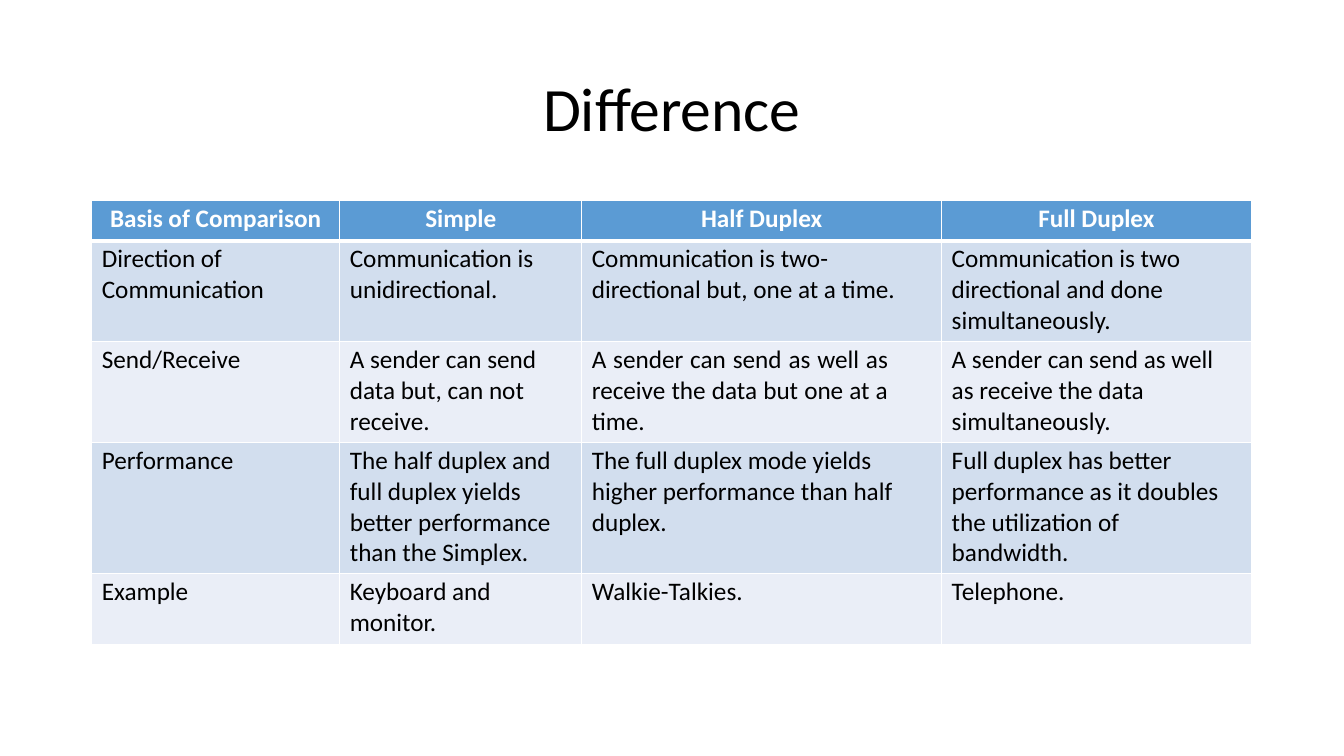
import pptx
import pptx.dml.color
import pptx.enum.text
import pptx.oxml
import pptx.oxml.ns
import pptx.util

Inches = pptx.util.Inches
Pt = pptx.util.Pt
RGBColor = pptx.dml.color.RGBColor
ALIGN = pptx.enum.text.PP_ALIGN

BLACK = RGBColor(0x00, 0x00, 0x00)
WHITE = RGBColor(0xFF, 0xFF, 0xFF)
HEADER_BLUE = RGBColor(0x5B, 0x9B, 0xD4)
BAND_COLORS = [RGBColor(0xD2, 0xDE, 0xEE), RGBColor(0xEA, 0xEE, 0xF7)]

TITLE_FONT = {"name": "Calibri", "size": Pt(44), "bold": False}
HEADER_FONT = {"name": "Calibri", "size": Pt(18), "bold": True}
BODY_FONT = {"name": "Calibri", "size": Pt(18), "bold": False}

COLUMN_WIDTHS = [2.46, 2.4, 3.57, 3.07]
ROW_HEIGHTS = [0.4, 1, 1, 1.3, 0.7]
RIGHT_MARGINS = [0.1, 0.2, 0.4, 0.3]
JUSTIFIED_CELL = (2, 2)
JUSTIFIED_MARGIN = 0.53

COMPARISON = [
    ["Basis of Comparison", "Simple", "Half Duplex", "Full Duplex"],
    [
        "Direction of Communication",
        "Communication is unidirectional.",
        "Communication is two-directional but, one at a time.",
        "Communication is two directional and done simultaneously.",
    ],
    [
        "Send/Receive",
        "A sender can send data but, can not receive.",
        "A sender can send as well as receive the data but one at a time.",
        "A sender can send as well as receive the data simultaneously.",
    ],
    [
        "Performance",
        "The half duplex and full duplex yields better performance than the Simplex.",
        "The full duplex mode yields higher performance than half duplex.",
        "Full duplex has better performance as it doubles the utilization of bandwidth.",
    ],
    ["Example", "Keyboard and monitor.", "Walkie-Talkies.", "Telephone."],
]


def set_values(target, values):
    for name, value in values.items():
        setattr(target, name, value)


def write_text(para, text, font, color, alignment):
    span = para.add_run()
    span.text = text
    set_values(span.font, font)
    span.font.color.rgb = color
    para.alignment = alignment


def set_borders(cell, widths):
    properties = cell._tc.get_or_add_tcPr()
    for side, width in widths.items():
        properties.append(pptx.oxml.parse_xml(
            f'<a:ln{side} {pptx.oxml.ns.nsdecls("a")} w="{Pt(width)}">'
            f'<a:solidFill><a:srgbClr val="{WHITE}"/></a:solidFill></a:ln{side}>'
        ))


def add_title(page, left, top, width, height):
    box = page.shapes.add_textbox(
        Inches(left), Inches(top), Inches(width), Inches(height))
    set_values(box.text_frame, {
        "word_wrap": True,
        "margin_left": 0,
        "margin_top": Inches(0.02),
        "margin_right": 0,
        "margin_bottom": 0,
    })
    write_text(box.text_frame.paragraphs[0], "Difference", TITLE_FONT, BLACK, ALIGN.CENTER)


def fill_cell(cell, text, row, column):
    header = row == 0
    justified = (row, column) == JUSTIFIED_CELL
    right = JUSTIFIED_MARGIN if justified else RIGHT_MARGINS[column]
    set_values(cell, {
        "margin_left": Inches(0 if header else 0.1),
        "margin_top": Inches(0.03),
        "margin_right": Inches(0 if header else right),
        "margin_bottom": 0,
    })
    set_borders(cell, {"L": 1, "R": 1, "T": 3 if row == 1 else 1, "B": 3 if header else 1})
    cell.fill.solid()
    cell.fill.fore_color.rgb = HEADER_BLUE if header else BAND_COLORS[(row - 1) % 2]
    para = cell.text_frame.paragraphs[0]
    if header:
        write_text(para, text, HEADER_FONT, WHITE, ALIGN.CENTER)
    else:
        alignment = ALIGN.JUSTIFY if justified else ALIGN.LEFT
        write_text(para, text, BODY_FONT, BLACK, alignment)


def add_comparison(page, left, top, width, height):
    table = page.shapes.add_table(
        len(ROW_HEIGHTS), len(COLUMN_WIDTHS),
        Inches(left), Inches(top), Inches(width), Inches(height)).table
    for column, column_width in zip(table.columns, COLUMN_WIDTHS):
        column.width = Inches(column_width)
    for row, row_height in zip(table.rows, ROW_HEIGHTS):
        row.height = Inches(row_height)
    for row, texts in enumerate(COMPARISON):
        for column, text in enumerate(texts):
            fill_cell(table.cell(row, column), text, row, column)


def main():
    deck = pptx.Presentation()
    set_values(deck, {"slide_width": Inches(13.33), "slide_height": Inches(7.5)})
    page = deck.slides.add_slide(deck.slide_layouts[6])
    add_title(page, 2.7, 0.67, 7.93, 0.76)
    add_comparison(page, 0.91, 1.99, sum(COLUMN_WIDTHS), sum(ROW_HEIGHTS))
    deck.save("out.pptx")


if __name__ == "__main__":
    main()
